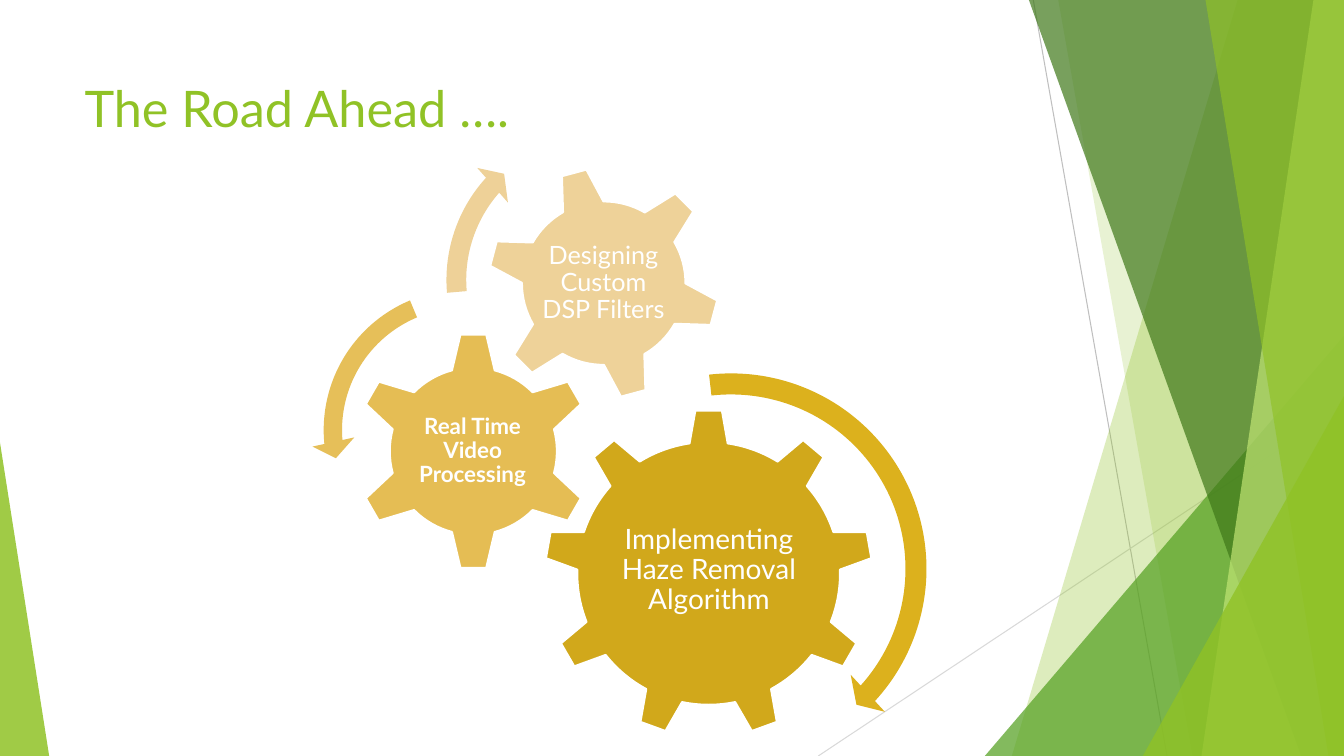
"""Build a slide of three linked gears beside a band of green facets."""
from lxml import etree
from pptx import Presentation
from pptx import util as u
from pptx.dml.color import RGBColor
from pptx.enum import shapes, text
from pptx.oxml.ns import qn

HUES = {
    "lime": "90C226", "green": "54A021", "dark": "3F7819", "pale": "C0E474",
    "gray": "BFBFBF", "mist": "D9D9D9", "white": "FFFFFF",
    "gold": "D1A81B", "honey": "E5BD54", "sand": "EED299",
    "gold arc": "DCB11D", "honey arc": "E6BF59", "sand arc": "EED198",
}
KIND = shapes.MSO_SHAPE
WIDE, HIGH = 33.87, 19.05


def cms(*nums):
    """Turn numbers into lengths."""
    return [u.Cm(n) for n in nums]


def write(frame, words, size, hue, bold=False, align="CENTER", anchor="MIDDLE", lead=0.9, inset=0.07):
    """Put one formatted paragraph in a text frame."""
    frame.word_wrap = True
    frame.auto_size = text.MSO_AUTO_SIZE.NONE
    frame.vertical_anchor = text.MSO_ANCHOR[anchor]
    for side in ("left", "right", "top", "bottom"):
        setattr(frame, "margin_" + side, u.Cm(inset))
    para = frame.paragraphs[0]
    para.alignment = text.PP_ALIGN[align]
    para.line_spacing = lead
    run = para.add_run()
    run.text = words
    run.font.name, run.font.size, run.font.bold = "Lato", u.Pt(size), bold
    run.font.color.rgb = RGBColor.from_string(HUES[hue])


class Deck:
    """Hold the style and the current slide."""

    def __init__(self):
        """Start a deck with one titled slide."""
        self.file = Presentation()
        self.file.slide_width, self.file.slide_height = cms(WIDE, HIGH)
        self.slide = self.file.slides.add_slide(self.file.slide_layouts[5])
        self.items = self.slide.shapes

    def title(self, words, box):
        """Place and fill the title."""
        head = self.items.title
        head.left, head.top, head.width, head.height = cms(*box)
        write(head.text_frame, words, 36, "lime", align="LEFT", anchor="TOP", lead=1, inset=0.25)

    def paint(self, shape, hue, alpha=100, edge=None):
        """Set fill, opacity and outline."""
        shape.shadow.inherit = False
        shape.fill.solid()
        shape.fill.fore_color.rgb = RGBColor.from_string(HUES[hue])
        if alpha < 100:
            tint = shape.fill._xPr.find(".//" + qn("a:srgbClr"))
            etree.SubElement(tint, qn("a:alpha")).set("val", str(alpha * 1000))
        if edge:
            shape.line.color.rgb = RGBColor.from_string(HUES[edge])
            shape.line.width = u.Pt(1.5)
        else:
            shape.line.fill.background()

    def shape(self, kind, box, hue, alpha=100, edge=None, adjust=(), turn=0):
        """Draw a preset shape."""
        item = self.items.add_shape(kind, *cms(*box))
        for spot, value in enumerate(adjust):
            item.adjustments[spot] = value
        item.rotation = turn
        self.paint(item, hue, alpha, edge)

    def facet(self, top, base, hue, alpha):
        """Draw a band from a slanted left edge to the slide's right edge."""
        pen = self.items.build_freeform(*cms(top, 0))
        pen.add_line_segments([cms(*p) for p in ((WIDE, 0), (WIDE, HIGH), (base, HIGH))])
        self.paint(pen.convert_to_shape(), hue, alpha)

    def line(self, ends, hue):
        """Draw a thin straight line."""
        item = self.items.add_connector(shapes.MSO_CONNECTOR.STRAIGHT, *cms(*ends))
        item.line.color.rgb = RGBColor.from_string(HUES[hue])
        item.line.width = u.Pt(0.75)
        etree.SubElement(item._element.spPr, qn("a:effectLst"))

    def gear(self, kind, box, hue, words, area, size, bold=False, turn=0):
        """Draw a gear with an upright label."""
        self.shape(kind, box, hue, edge="white", turn=turn)
        label = self.items.add_textbox(*cms(*area))
        write(label.text_frame, words, size, "white", bold)


def main():
    """Draw the slide and save it."""
    deck = Deck()
    deck.line((26.04, 0, 29.41, HIGH), "gray")
    deck.line((WIDE, 10.24, 20.62, HIGH), "mist")
    deck.facet(31.19, 25.5, "lime", 30)
    deck.facet(26.67, 30.05, "lime", 20)
    deck.shape(KIND.ISOSCELES_TRIANGLE, (24.82, 8.46, 9.05, 10.59), "green", 72, adjust=[1])
    deck.facet(25.93, 32.79, "dark", 70)
    deck.facet(33.1, 30.28, "pale", 70)
    deck.facet(30.38, 33.48, "lime", 65)
    deck.shape(KIND.ISOSCELES_TRIANGLE, (28.8, 9.98, 5.07, 9.07), "lime", 80, adjust=[1])
    deck.shape(KIND.ISOSCELES_TRIANGLE, (0, 11.15, 1.24, 7.9), "lime", 85, adjust=[0])
    deck.title("The Road Ahead ….", (1.88, 1.7, 23.88, 3.66))

    deck.gear(KIND.GEAR_9, (13.72, 10.31, 8.28, 8.28), "gold",
              "Implementing Haze Removal Algorithm", (15.39, 12.24, 4.95, 4.27), 20)
    deck.gear(KIND.GEAR_6, (8.92, 8.36, 6.02, 6.02), "honey",
              "Real Time Video Processing", (10.41, 9.88, 3, 2.97), 16, bold=True)
    deck.gear(KIND.GEAR_6, (12.27, 4.19, 5.89, 5.89), "sand",
              "Designing Custom DSP Filters", (13.56, 5.49, 3.3, 3.3), 18, turn=345)

    deck.shape(KIND.CIRCULAR_ARROW, (13.13, 9.04, 10.59, 10.59), "gold arc",
               adjust=[0.05, 2.99, 25.39, 158.12, 0.06])
    deck.shape(KIND.LEFT_CIRCULAR_ARROW, (7.85, 6.99, 7.7, 7.7), "honey arc",
               adjust=[0.06, 4.3, 104.89, 148.38, 0.07])
    deck.shape(KIND.CIRCULAR_ARROW, (10.92, 2.9, 8.31, 8.31), "sand arc",
               adjust=[0.06, 3.94, 133.14, 105.08, 0.07])
    deck.file.save("out.pptx")


if __name__ == "__main__":
    main()
